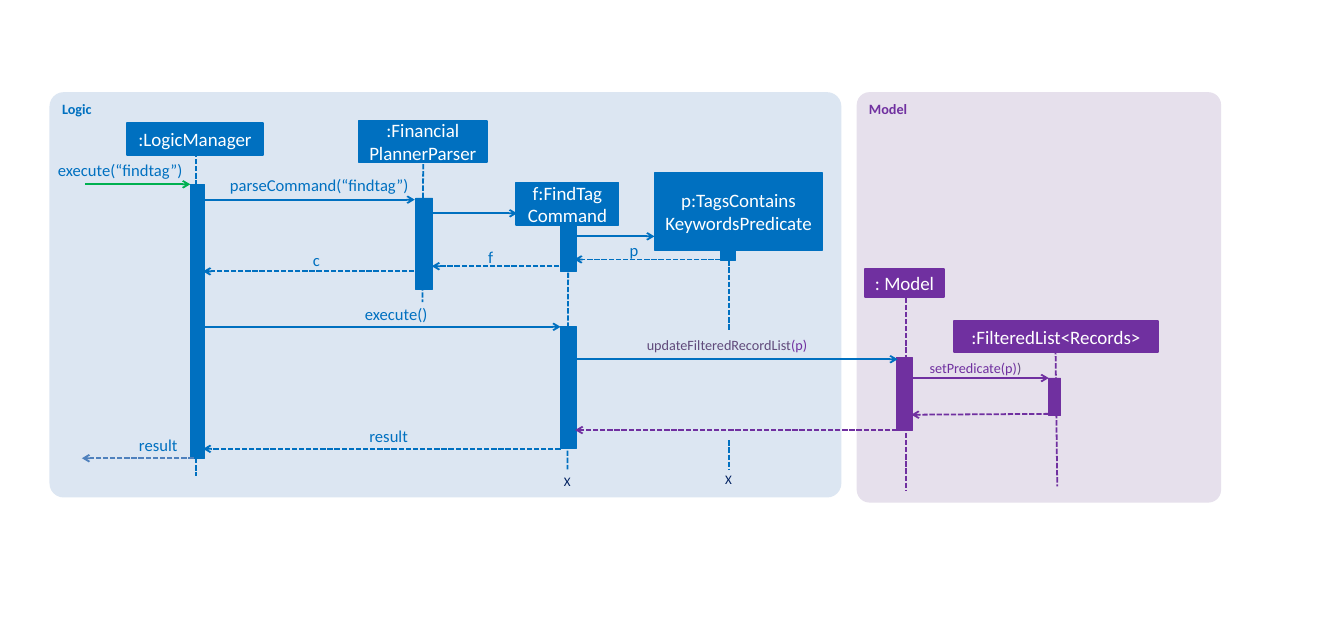
from lxml.etree import SubElement
from pptx import Presentation
from pptx.dml.color import RGBColor
from pptx.enum.dml import MSO_LINE
from pptx.enum.shapes import MSO_CONNECTOR, MSO_SHAPE
from pptx.enum.text import MSO_ANCHOR, MSO_AUTO_SIZE, PP_ALIGN
from pptx.oxml.ns import qn
from pptx.util import Emu, Pt

PX = 9144
COLOURS = {
    "logic": "0070C0", "logic_panel": "DCE6F2",
    "model": "7030A0", "model_panel": "E6E0EC",
    "call": "00B050", "reply": "4F81BD",
    "muted": "604A7B", "end": "002060", "white": "FFFFFF",
}
PANELS = [
    ("Logic", (58, 108, 928, 475), "logic"),
    ("Model", (1004, 108, 427, 481), "model"),
]
PARTICIPANTS = [
    (":LogicManager", (149, 144, 159, 38), "logic"),
    (":Financial\nPlannerParser", (420, 142, 151, 48), "logic"),
    ("f:FindTag\vCommand", (605, 214, 120, 50), "logic"),
    ("p:TagsContains KeywordsPredicate", (767, 203, 197, 90), "logic"),
    (": Model", (1014, 315, 92, 33), "model"),
    (":FilteredList<Records>", (1118, 376, 239, 37), "model"),
]
LIFELINES = [
    ((230, 178), (230, 558), "logic"),
    ((496, 184), (495, 354), "logic"),
    ((666, 261), (665, 550), "logic"),
    ((854, 305), (854, 387), "logic"),
    ((854, 516), (854, 550), "logic"),
    ((1062, 332), (1062, 575), "model"),
    ((1237, 409), (1239, 570), "model"),
]
ACTIVATIONS = [
    ((223, 216, 17, 321), "logic"),
    ((487, 232, 20, 107), "logic"),
    ((657, 261, 18, 57), "logic"),
    ((657, 383, 18, 143), "logic"),
    ((844, 262, 18, 43), "logic"),
    ((1051, 419, 18, 85), "model"),
    ((1229, 443, 14, 44), "model"),
]
CALLS = [
    ((100, 216), (223, 216), "call"),
    ((239, 234), (486, 234), "logic"),
    ((505, 250), (606, 250), "logic"),
    ((665, 277), (767, 277), "logic"),
    ((238, 383), (657, 383), "logic"),
    ((665, 421), (1052, 421), "logic"),
    ((1068, 443), (1229, 443), "model"),
]
RETURNS = [
    ((853, 304), (673, 304), "logic"),
    ((664, 312), (506, 312), "logic"),
    ((494, 318), (238, 318), "logic"),
    ((1229, 485), (1068, 486), "model"),
    ((1060, 504), (674, 504), "model"),
    ((657, 526), (238, 526), "logic"),
    ((227, 537), (96, 537), "reply"),
]
LABELS = [
    ((58, 187, 156, 24), 14, [("execute(“findtag”)", "logic")]),
    ((259, 205, 220, 24), 14, [("parseCommand(“findtag”)", "logic")]),
    ((709, 281, 39, 24), 14, [("p", "logic")]),
    ((554, 289, 24, 24), 14, [("f", "logic")]),
    ((351, 293, 24, 24), 14, [("c", "logic")]),
    ((407, 356, 94, 24), 14, [("execute()", "logic")]),
    ((741, 394, 205, 20), 12, [("updateFilteredRecordList", "muted"), ("(p)", "model")]),
    ((1087, 421, 110, 20), 12, [("setPredicate(p)", "model"), (")", "muted")]),
    ((410, 499, 68, 24), 14, [("result", "logic")]),
    ((125, 510, 83, 24), 14, [("result", "logic")]),
]
END_MARKS = [(651, 550, 28, 29), (840, 548, 28, 29)]


def px(*lengths):
    """Turn px lengths into EMU."""
    return [Emu(length * PX) for length in lengths]


def colour(name):
    """Look up a named colour."""
    return RGBColor.from_string(COLOURS[name])


def apply_format(target, values):
    """Set each attribute of target from a dict."""
    for name, value in values.items():
        setattr(target, name, value)


def format_span(span, size, tint, bold=None):
    """Give a span its font, size and colour."""
    apply_format(span.font, {"name": "Calibri", "size": Pt(size), "bold": bold})
    span.font.color.rgb = colour(tint)


def write_text(box, text, size, tint, align, anchor, bold=None):
    """Write text of one style into a shape."""
    apply_format(box.text_frame, {"text": text, "vertical_anchor": anchor})
    for para in box.text_frame.paragraphs:
        para.alignment = align
        for span in para.runs:
            format_span(span, size, tint, bold)


def add_block(page, kind, frame, fill, outline=None):
    """Add a filled shape, outlined at a width in points if one is given."""
    box = page.shapes.add_shape(kind, *px(*frame))
    box.shadow.inherit = False
    box.fill.solid()
    box.fill.fore_color.rgb = colour(fill)
    if outline:
        box.line.color.rgb = colour(fill)
        box.line.width = Pt(outline)
    else:
        box.line.fill.background()
    return box


def add_panel(page, title, frame, tint):
    """Add a rounded component panel with its title."""
    box = add_block(page, MSO_SHAPE.ROUNDED_RECTANGLE, frame, f"{tint}_panel")
    box.adjustments[0] = 0.035
    write_text(box, title, 12, tint, PP_ALIGN.LEFT, MSO_ANCHOR.TOP, True)


def add_participant(page, name, frame, tint):
    """Add the header box of a participant."""
    box = add_block(page, MSO_SHAPE.RECTANGLE, frame, tint, 1.5)
    write_text(box, name, 16, "white", PP_ALIGN.CENTER, MSO_ANCHOR.MIDDLE)


def add_line(page, start, end, tint, dashed=False, arrow=False):
    """Add a straight line, optionally dashed or with an arrowhead at its end."""
    line = page.shapes.add_connector(MSO_CONNECTOR.STRAIGHT, *px(*start, *end))
    line.line.color.rgb = colour(tint)
    line.line.width = Pt(1.5)
    if dashed:
        line.line.dash_style = MSO_LINE.SQUARE_DOT
    if arrow:
        outline = line._element.spPr.find(qn("a:ln"))
        SubElement(outline, qn("a:tailEnd"), type="arrow")
    SubElement(line._element.spPr, qn("a:effectLst"))


def add_label(page, frame, size, spans):
    """Add a right-aligned message label made of coloured spans."""
    box = page.shapes.add_textbox(*px(*frame))
    apply_format(box.text_frame, {
        "margin_left": 0, "margin_top": 0, "margin_right": 0, "margin_bottom": 0,
        "word_wrap": True, "auto_size": MSO_AUTO_SIZE.SHAPE_TO_FIT_TEXT,
    })
    para = box.text_frame.paragraphs[0]
    para.alignment = PP_ALIGN.RIGHT
    for text, tint in spans:
        span = para.add_run()
        span.text = text
        format_span(span, size, tint)


def add_end_mark(page, frame):
    """Add the mark that ends a lifeline."""
    box = page.shapes.add_textbox(*px(*frame))
    apply_format(box.text_frame, {
        "word_wrap": False, "auto_size": MSO_AUTO_SIZE.SHAPE_TO_FIT_TEXT,
    })
    write_text(box, "X", 11, "end", PP_ALIGN.LEFT, MSO_ANCHOR.TOP)


def main():
    """Build the sequence diagram and save it."""
    deck = Presentation()
    deck.slide_width, deck.slide_height = px(1575, 750)
    page = deck.slides.add_slide(deck.slide_layouts[6])
    for panel in PANELS:
        add_panel(page, *panel)
    for lifeline in LIFELINES:
        add_line(page, *lifeline, dashed=True)
    for frame, tint in ACTIVATIONS:
        add_block(page, MSO_SHAPE.RECTANGLE, frame, tint, 0.75)
    for participant in PARTICIPANTS:
        add_participant(page, *participant)
    for call in CALLS:
        add_line(page, *call, arrow=True)
    for reply in RETURNS:
        add_line(page, *reply, dashed=True, arrow=True)
    for label in LABELS:
        add_label(page, *label)
    for frame in END_MARKS:
        add_end_mark(page, frame)
    deck.save("out.pptx")


if __name__ == "__main__":
    main()
